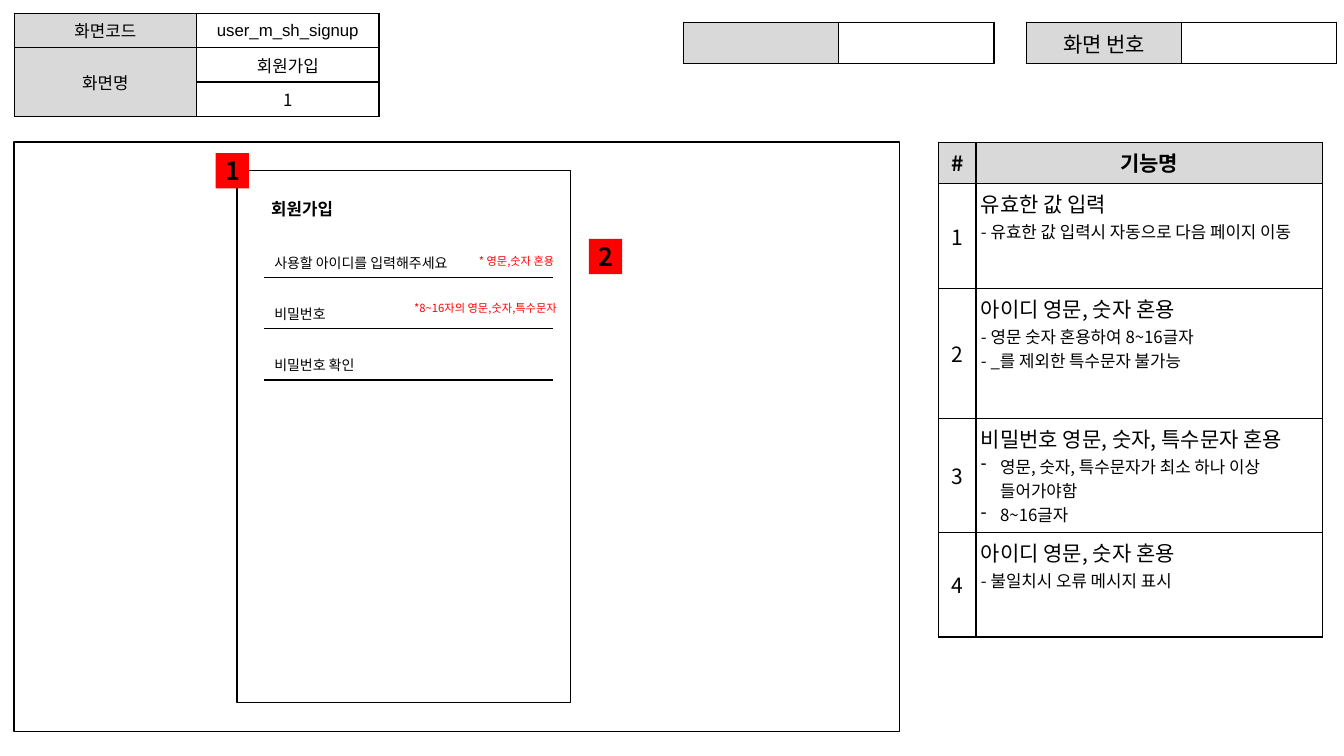
"""Build the sign-up screen specification slide."""
from lxml.etree import SubElement
from pptx import Presentation
from pptx.dml.color import RGBColor
from pptx.enum.shapes import MSO_SHAPE
from pptx.enum.text import MSO_ANCHOR, MSO_AUTO_SIZE, PP_ALIGN
from pptx.oxml.ns import qn
from pptx.util import Inches, Pt

KOREAN = "Noto Sans CJK KR"
BLACK, WHITE, GREY, RED = "000000", "FFFFFF", "D9D9D9", "FF0000"
CENTER, LEFT = PP_ALIGN.CENTER, PP_ALIGN.LEFT
MIDDLE, TOP = MSO_ANCHOR.MIDDLE, MSO_ANCHOR.TOP


def color(hex_code):
    return RGBColor.from_string(hex_code)


def write(frame, lines, size=12, detail_size=12, bold=False, ink=BLACK,
          align=CENTER, font=KOREAN, dashed=False):
    for index, line in enumerate(lines):
        paragraph = frame.paragraphs[0] if index == 0 else frame.add_paragraph()
        paragraph.alignment = align
        if dashed and index:
            properties = paragraph._p.get_or_add_pPr()
            properties.set("marL", str(Inches(0.19)))
            properties.set("indent", str(Inches(-0.19)))
            SubElement(properties, qn("a:buChar"), char="-")
        run = paragraph.add_run()
        run.text = line
        run.font.size = Pt(detail_size if index else size)
        run.font.bold = bold
        run.font.color.rgb = color(ink)
        run.font.name = font
        SubElement(run._r.get_or_add_rPr(), qn("a:ea"), typeface=font)


class ScreenSpec:
    def __init__(self, slide):
        self.shapes = slide.shapes

    def table(self, left, top, columns, rows):
        grid = self.shapes.add_table(len(rows), len(columns), Inches(left), Inches(top),
                                     Inches(sum(columns)), Inches(sum(rows))).table
        grid.first_row = grid.horz_banding = False
        for column, width in zip(grid.columns, columns):
            column.width = Inches(width)
        for row, height in zip(grid.rows, rows):
            row.height = Inches(height)
        return grid

    def cell(self, cell, lines=(), fill=WHITE, inset=(0.05, 0.05), anchor=MIDDLE,
             borders="LRTB", **style):
        properties = cell._tc.get_or_add_tcPr()
        for side in "LRTB":
            edge = SubElement(properties, qn(f"a:ln{side}"), w=str(Pt(1)))
            if side in borders:
                SubElement(SubElement(edge, qn("a:solidFill")), qn("a:srgbClr"), val=BLACK)
            else:
                SubElement(edge, qn("a:noFill"))
        cell.fill.solid()
        cell.fill.fore_color.rgb = color(fill)
        cell.margin_left = cell.margin_right = Inches(inset[0])
        cell.margin_top = cell.margin_bottom = Inches(inset[1])
        cell.vertical_anchor = anchor
        write(cell.text_frame, lines, **style)

    def box(self, left, top, width, height, lines=(), fill=WHITE, line=BLACK,
            inset=0.05, **style):
        box = self.shapes.add_shape(MSO_SHAPE.RECTANGLE, Inches(left), Inches(top),
                                    Inches(width), Inches(height))
        box.shadow.inherit = False
        box.fill.solid()
        box.fill.fore_color.rgb = color(fill)
        if line:
            box.line.color.rgb = color(line)
            box.line.width = Pt(1)
        else:
            box.line.fill.background()
        frame = box.text_frame
        frame.margin_left = frame.margin_right = Inches(inset)
        frame.margin_top = frame.margin_bottom = Inches(0.05)
        frame.vertical_anchor = MIDDLE
        write(frame, lines, **style)

    def note(self, left, top, width, text):
        frame = self.shapes.add_textbox(Inches(left), Inches(top),
                                        Inches(width), Inches(0.24)).text_frame
        frame.word_wrap = True
        frame.auto_size = MSO_AUTO_SIZE.SHAPE_TO_FIT_TEXT
        write(frame, [text], size=8, ink=RED, align=LEFT)

    def header(self, left, label):
        grid = self.table(left, 0.22, [1.54, 1.54], [0.41])
        self.cell(grid.cell(0, 0), label, GREY, size=15)
        self.cell(grid.cell(0, 1))

    def features(self, features):
        grid = self.table(9.31, 1.41, [0.37, 3.44], [0.41, 1.04, 1.29, 1.13, 1.04])
        for column, title in enumerate(["#", "기능명"]):
            self.cell(grid.cell(0, column), [title], GREY, size=15, bold=True)
        for number, (lines, dashed) in enumerate(features, 1):
            self.cell(grid.cell(number, 0), [str(number)], size=15)
            self.cell(grid.cell(number, 1), lines, anchor=TOP, size=15,
                      align=LEFT, dashed=dashed)

    def screen_info(self):
        grid = self.table(0.14, 0.13, [1.81, 1.81], [0.34] * 3)
        grid.cell(1, 0).merge(grid.cell(2, 0))
        for row, label in enumerate([["화면코드"], ["화면명"], []]):
            self.cell(grid.cell(row, 0), label, GREY)
        self.cell(grid.cell(0, 1), ["user_m_sh_signup"], inset=(0.01, 0.01), font="Arial")
        for row, value in enumerate(["회원가입", "1"], 1):
            self.cell(grid.cell(row, 1), [value])

    def field(self, top, prompt):
        grid = self.table(2.62, top, [2.86], [0.3])
        self.cell(grid.cell(0, 0), [prompt], inset=(0.1, 0.05), anchor=TOP,
                  borders="B", size=10, align=LEFT)

    def marker(self, left, top, number):
        self.box(left, top, 0.33, 0.35, [number], RED, None, inset=0.1, size=18, bold=True)


def main():
    presentation = Presentation()
    presentation.slide_width = Inches(13.33)
    presentation.slide_height = Inches(7.5)
    spec = ScreenSpec(presentation.slides.add_slide(presentation.slide_layouts[6]))

    spec.header(10.18, ["화면 번호"])
    spec.header(6.78, [])
    spec.features([
        (["유효한 값 입력", "- 유효한 값 입력시 자동으로 다음 페이지 이동"], False),
        (["아이디 영문, 숫자 혼용", "- 영문 숫자 혼용하여 8~16글자",
          "- _를 제외한 특수문자 불가능"], False),
        (["비밀번호 영문, 숫자, 특수문자 혼용",
          "영문, 숫자, 특수문자가 최소 하나 이상 들어가야함", "8~16글자"], True),
        (["아이디 영문, 숫자 혼용", "- 불일치시 오류 메시지 표시"], False),
    ])
    spec.box(0.14, 1.41, 8.78, 5.85)
    spec.screen_info()
    spec.box(2.35, 1.69, 3.31, 5.28)
    spec.box(2.64, 1.85, 1.42, 0.45, ["회원가입"], line=WHITE, bold=True, align=LEFT)
    for index, prompt in enumerate(["사용할 아이디를 입력해주세요", "비밀번호", "비밀번호 확인"]):
        spec.field(2.45 + 0.51 * index, prompt)
    spec.note(4.65, 2.47, 1.19, "* 영문,숫자 혼용")
    spec.note(4.01, 2.94, 1.72, "*8~16자의 영문,숫자,특수문자")
    spec.marker(2.14, 1.52, "1")
    spec.marker(5.84, 2.37, "2")
    presentation.save("out.pptx")


if __name__ == "__main__":
    main()
